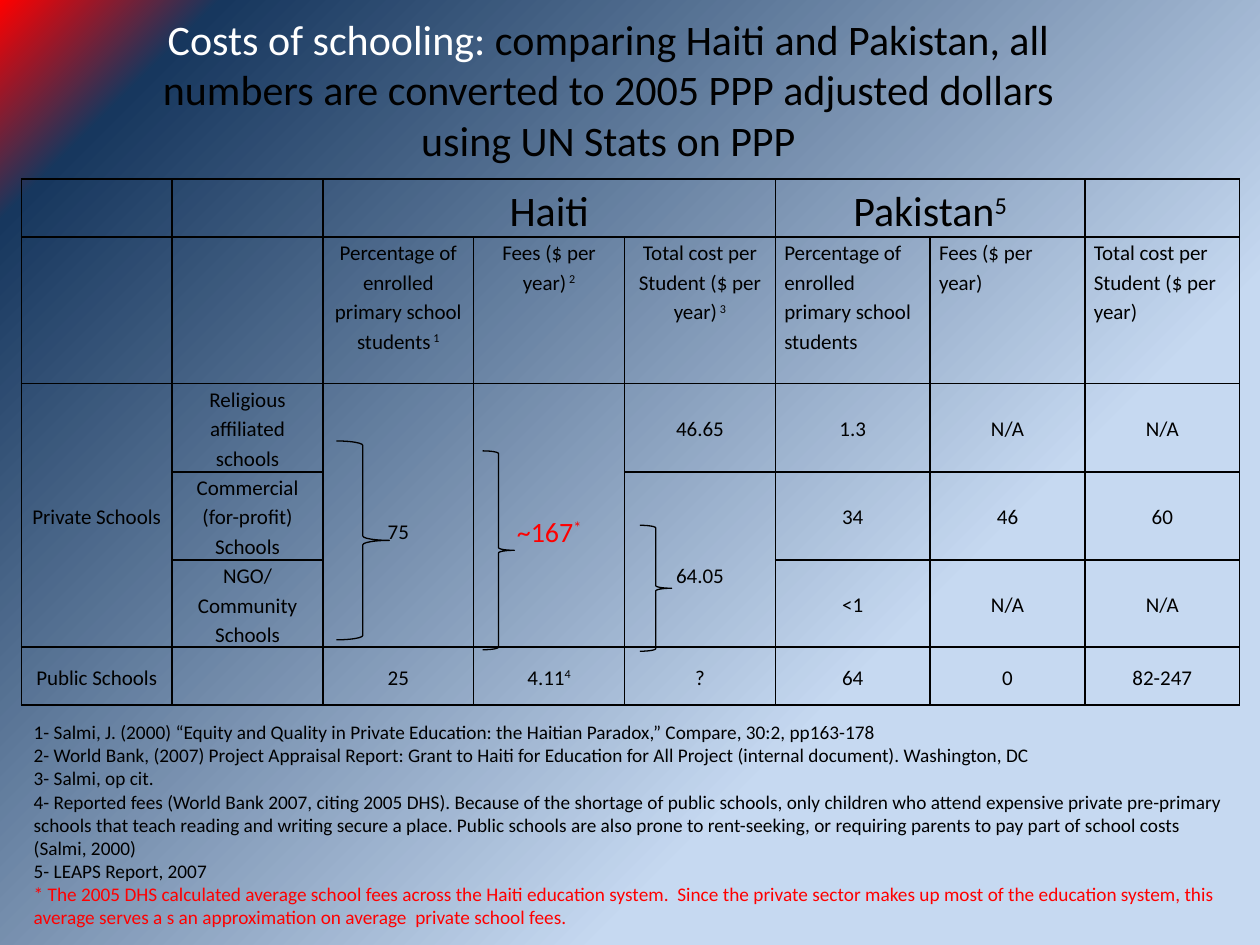
from copy import deepcopy
from dataclasses import dataclass

from lxml.etree import SubElement
from pptx import Presentation
from pptx.dml.color import RGBColor
from pptx.enum.shapes import MSO_SHAPE
from pptx.enum.text import MSO_ANCHOR as Anchor, PP_ALIGN as Align
from pptx.oxml import parse_xml
from pptx.oxml.ns import nsdecls, qn
from pptx.util import Cm, Pt


@dataclass(frozen=True)
class Theme:
    font = "Calibri"
    black = RGBColor.from_string("000000")
    white = RGBColor.from_string("FFFFFF")
    red = RGBColor.from_string("FF0000")
    navy = RGBColor.from_string("17375E")
    pale = RGBColor.from_string("C6D9F1")
    heading = Pt(24)
    highlight = Pt(16)
    body = Pt(12)
    note = Pt(11)
    border = Pt(1)
    brace = Pt(0.75)


theme = Theme()


def apply_format(target, values):
    for name, value in values.items():
        setattr(target, name, value)


def add_text(paragraph, text, size, color):
    for index, part in enumerate(text.split("^")):
        run = paragraph.add_run()
        run.text = part
        apply_format(run.font, {"name": theme.font, "size": size, "bold": False})
        run.font.color.rgb = color
        if index:
            run.font._element.set("baseline", "30000")


presentation = Presentation()
apply_format(presentation, {"slide_width": Cm(25.4), "slide_height": Cm(19.05)})
slide = presentation.slides.add_slide(presentation.slide_layouts[5])

background = slide.background.fill
background.gradient()
background.gradient_angle = 135
stop_list = background._fill._element if hasattr(background._fill, "_element") else background._fill._gradFill
stop_list = stop_list.find(qn("a:gsLst"))
stop_list.append(deepcopy(stop_list[-1]))
stops = [(0.3, theme.pale), (0.9, theme.navy), (1, theme.red)]
for stop, (position, color) in zip(background.gradient_stops, stops):
    stop.position = position
    stop.color.rgb = color

title = slide.shapes.title
apply_format(title, {"left": Cm(2.74), "top": Cm(1.47), "width": Cm(19.05), "height": Cm(0.64)})
apply_format(title.text_frame, {"word_wrap": True, "vertical_anchor": Anchor.MIDDLE})
heading = title.text_frame.paragraphs[0]
heading.alignment = Align.CENTER
add_text(heading, "Costs of schooling:", theme.heading, theme.white)
add_text(
    heading,
    " comparing Haiti and Pakistan, all numbers are converted to 2005 PPP adjusted dollars using UN Stats on PPP",
    theme.heading,
    theme.black,
)

notes = [
    "1- Salmi, J. (2000) “Equity and Quality in Private Education: the Haitian Paradox,” Compare, 30:2, pp163-178",
    "2- World Bank, (2007) Project Appraisal Report: Grant to Haiti for Education for All Project (internal document). Washington, DC",
    "3- Salmi, op cit.",
    "4- Reported fees (World Bank 2007, citing 2005 DHS). Because of the shortage of public schools, only children who attend expensive private pre-primary schools that teach reading and writing secure a place. Public schools are also prone to rent-seeking, or requiring parents to pay part of school costs (Salmi, 2000)",
    "5- LEAPS Report, 2007",
]
fee_note = "* The 2005 DHS calculated average school fees across the Haiti education system.  Since the private sector makes up most of the education system, this average serves a s an approximation on average  private school fees."
notes_frame = slide.shapes.add_textbox(Cm(0.43), Cm(14.4), Cm(24.56), Cm(5.44)).text_frame
notes_frame.word_wrap = True
for index, note in enumerate(notes):
    paragraph = notes_frame.add_paragraph() if index else notes_frame.paragraphs[0]
    add_text(paragraph, note, theme.note, theme.black)
paragraph.add_line_break()
add_text(paragraph, fee_note, theme.note, theme.red)

share, fees, total = (
    "Percentage of enrolled primary school students",
    "Fees ($ per year)",
    "Total cost per Student ($ per year)",
)
rows = [
    ["", "", "Haiti", "", "", "Pakistan^5", "", ""],
    ["", "", share + "^ 1", fees + "^ 2", total + "^ 3", share, fees, total],
    ["Private Schools", "Religious affiliated schools", "75", "~167^*", "46.65", "1.3", "N/A", "N/A"],
    ["", "Commercial (for-profit) Schools", "", "", "64.05", "34", "46", "60"],
    ["", "NGO/Community Schools", "", "", "", "<1", "N/A", "N/A"],
    ["Public Schools", "", "25", "4.11^4", "?", "64", "0", "82-247"],
]
column_widths = [3.04] * 5 + [3.12] * 3
row_heights = [1.17, 2.95, 1.78, 1.78, 1.73, 1.17]
merges = [
    ((0, 2), (0, 4)),
    ((0, 5), (0, 6)),
    ((2, 0), (4, 0)),
    ((2, 2), (4, 2)),
    ((2, 3), (4, 3)),
    ((3, 4), (4, 4)),
]
lowered_cells = {(2, 2), (2, 3), (3, 4)}
highlighted_cell = (2, 3)

table = slide.shapes.add_table(
    len(rows), len(column_widths), Cm(0.43), Cm(3.61), Cm(sum(column_widths)), Cm(sum(row_heights))
).table
apply_format(table, {"first_row": False, "horz_banding": False})
for column, width in zip(table.columns, column_widths):
    column.width = Cm(width)
for row, height in zip(table.rows, row_heights):
    row.height = Cm(height)
for first, last in merges:
    table.cell(*first).merge(table.cell(*last))

for row_index, texts in enumerate(rows):
    for column_index, text in enumerate(texts):
        position = (row_index, column_index)
        cell = table.cell(*position)
        cell.fill.background()
        apply_format(cell, {
            "margin_left": Cm(0.18),
            "margin_right": Cm(0.18),
            "margin_top": Cm(0.6 if position in lowered_cells else 0),
            "margin_bottom": Cm(0),
            "vertical_anchor": Anchor.MIDDLE if row_index > 1 else Anchor.TOP,
        })
        properties = cell._tc.get_or_add_tcPr()
        for index, side in enumerate(("lnL", "lnR", "lnT", "lnB")):
            properties.insert(index, parse_xml(
                f'<a:{side} {nsdecls("a")} w="{theme.border}"><a:solidFill>'
                f'<a:srgbClr val="{theme.black}"/></a:solidFill></a:{side}>'
            ))
        paragraph = cell.text_frame.paragraphs[0]
        left_aligned = row_index == 1 and column_index > 4
        apply_format(paragraph, {
            "alignment": Align.LEFT if left_aligned else Align.CENTER,
            "line_spacing": 1.15,
        })
        if text:
            size = theme.body if row_index else theme.heading
            color = theme.black
            if position == highlighted_cell:
                size, color = theme.highlight, theme.red
            add_text(paragraph, text, size, color)

braces = [(6.78, 8.89, 1.07, 4.01), (9.73, 9.09, 0.64, 4.01), (12.9, 10.59, 0.64, 2.54)]
for bounds in braces:
    brace = slide.shapes.add_shape(MSO_SHAPE.RIGHT_BRACE, *map(Cm, bounds))
    brace.shadow.inherit = False
    brace.fill.background()
    brace.line.color.rgb = theme.black
    brace.line.width = theme.brace

presentation.save("out.pptx")
